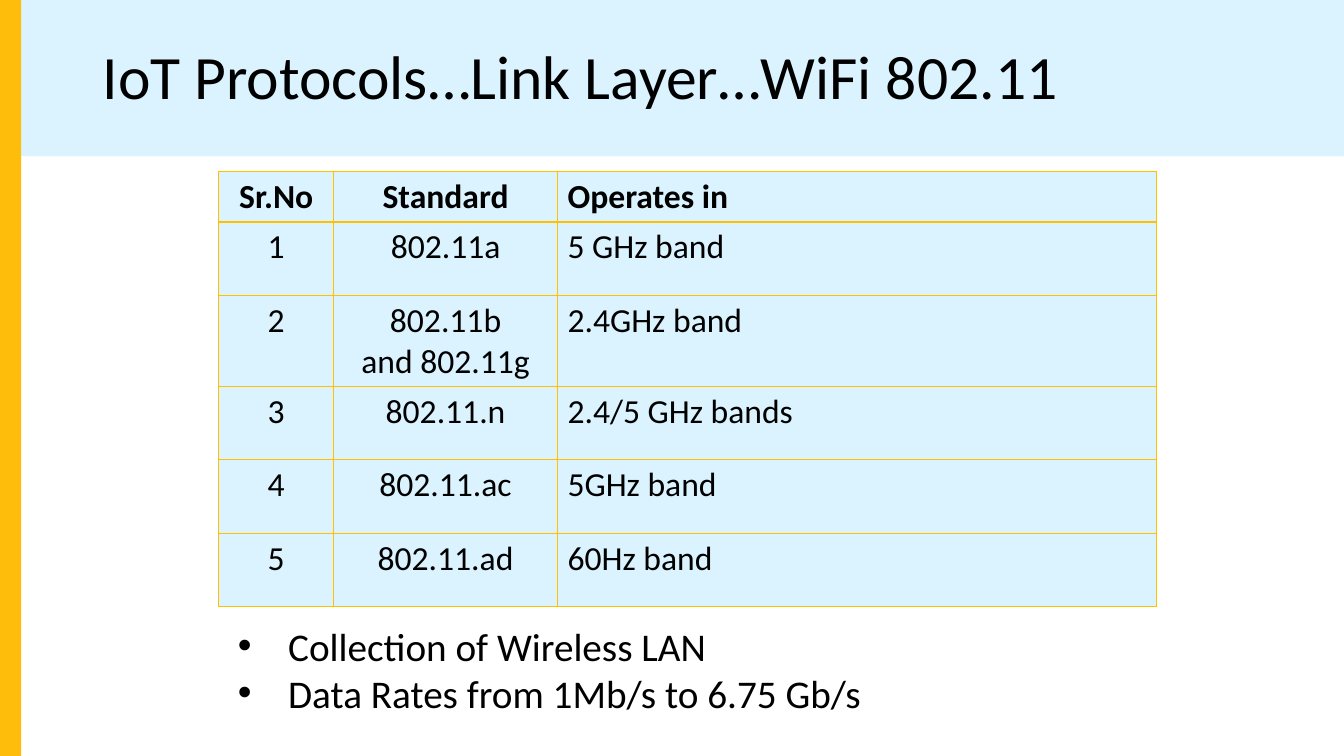
from lxml import etree
from pptx import Presentation
from pptx import util as u
from pptx.dml.color import RGBColor
from pptx.enum import shapes, text
from pptx.oxml import ns

COLOURS = {"sky": "DAF3FE", "amber": "FEBD0A", "gold": "FFC000", "black": "000000"}
STANDARDS = [
    ("Sr.No", "Standard", "Operates in"),
    ("1", "802.11a", "5 GHz band"),
    ("2", "802.11b\vand 802.11g", "2.4GHz band"),
    ("3", "802.11.n", "2.4/5 GHz bands"),
    ("4", "802.11.ac", "5GHz band"),
    ("5", "802.11.ad", "60Hz band"),
]
COLUMN_WIDTHS = [1.14, 2.22, 5.94]
ROW_HEIGHTS = [0.5, 0.73, 0.9, 0.73, 0.73, 0.73]


def colour(name):
    return RGBColor.from_string(COLOURS[name])


def add_child(parent, tag, **attributes):
    child = etree.SubElement(parent, ns.qn(tag))
    for key, value in attributes.items():
        child.set(key, str(value))
    return child


class SlideBuilder:
    font = "Calibri"

    def __init__(self, page):
        self.page = page

    def fill_text(self, frame, lines, size, bold=False, align=text.PP_ALIGN.LEFT,
                  spacing=None, bullet=False):
        """Fill a text frame with one formatted paragraph per line."""
        frame.word_wrap = True
        for index, line in enumerate(lines):
            para = frame.paragraphs[0] if index == 0 else frame.add_paragraph()
            para.text = line
            para.alignment = align
            if spacing:
                para.line_spacing = spacing
            if bullet:
                props = para._p.get_or_add_pPr()
                props.set("marL", str(u.Inches(0.5)))
                props.set("indent", str(u.Inches(-0.5)))
                add_child(props, "a:buFont", typeface="Arial")
                add_child(props, "a:buChar", char="•")
            for span in para.runs:
                span.font.name = self.font
                span.font.size = u.Pt(size)
                span.font.bold = bold
                span.font.color.rgb = colour("black")

    def band(self, left, top, width, height, fill):
        box = self.page.shapes.add_shape(
            shapes.MSO_SHAPE.RECTANGLE, *map(u.Inches, (left, top, width, height)))
        box.shadow.inherit = False
        box.fill.solid()
        box.fill.fore_color.rgb = colour(fill)
        box.line.fill.background()

    def text_box(self, left, top, width, height, lines, size,
                 anchor=text.MSO_ANCHOR.TOP, **style):
        box = self.page.shapes.add_textbox(*map(u.Inches, (left, top, width, height)))
        box.text_frame.vertical_anchor = anchor
        self.fill_text(box.text_frame, lines, size, **style)

    def borders(self, cell, widths):
        """Draw gold cell edges; widths maps an edge letter to points."""
        props = cell._tc.get_or_add_tcPr()
        for index, (edge, width) in enumerate(widths.items()):
            line = etree.Element(ns.qn(f"a:ln{edge}"), w=str(u.Pt(width)))
            fill = add_child(line, "a:solidFill")
            add_child(fill, "a:srgbClr", val=COLOURS["gold"])
            props.insert(index, line)

    def table(self, left, top, rows, column_widths, row_heights, size):
        frame = self.page.shapes.add_table(
            len(rows), len(column_widths), u.Inches(left), u.Inches(top),
            u.Inches(sum(column_widths)), u.Inches(sum(row_heights)))
        grid = frame.table
        grid.horz_banding = False
        for column, width in zip(grid.columns, column_widths):
            column.width = u.Inches(width)
        for r, (row, height) in enumerate(zip(rows, row_heights)):
            grid.rows[r].height = u.Inches(height)
            for c, label in enumerate(row):
                cell = grid.cell(r, c)
                cell.fill.solid()
                cell.fill.fore_color.rgb = colour("sky")
                align = text.PP_ALIGN.LEFT if c == 2 else text.PP_ALIGN.CENTER
                self.fill_text(cell.text_frame, [label], size, bold=r == 0, align=align)
                self.borders(cell, {"L": 1, "R": 1, "T": 2 if r == 1 else 1,
                                    "B": 2 if r == 0 else 1})


def main():
    deck = Presentation()
    deck.slide_width, deck.slide_height = u.Inches(13.33), u.Inches(7.5)
    slide = SlideBuilder(deck.slides.add_slide(deck.slide_layouts[6]))
    slide.band(0, 0, 13.33, 1.55, "sky")
    slide.text_box(0.92, 0.2, 11.5, 1.18, ["IoT Protocols…Link Layer…WiFi 802.11"], 44,
                   anchor=text.MSO_ANCHOR.MIDDLE, spacing=0.9)
    slide.table(2.17, 1.7, STANDARDS, COLUMN_WIDTHS, ROW_HEIGHTS, 24)
    slide.band(-0.01, 0, 0.22, 7.5, "amber")
    slide.text_box(2.26, 6.12, 9.89, 1.04,
                   ["Collection of Wireless LAN", "Data Rates from 1Mb/s to 6.75 Gb/s"],
                   28, bullet=True)
    deck.save("out.pptx")


if __name__ == "__main__":
    main()
